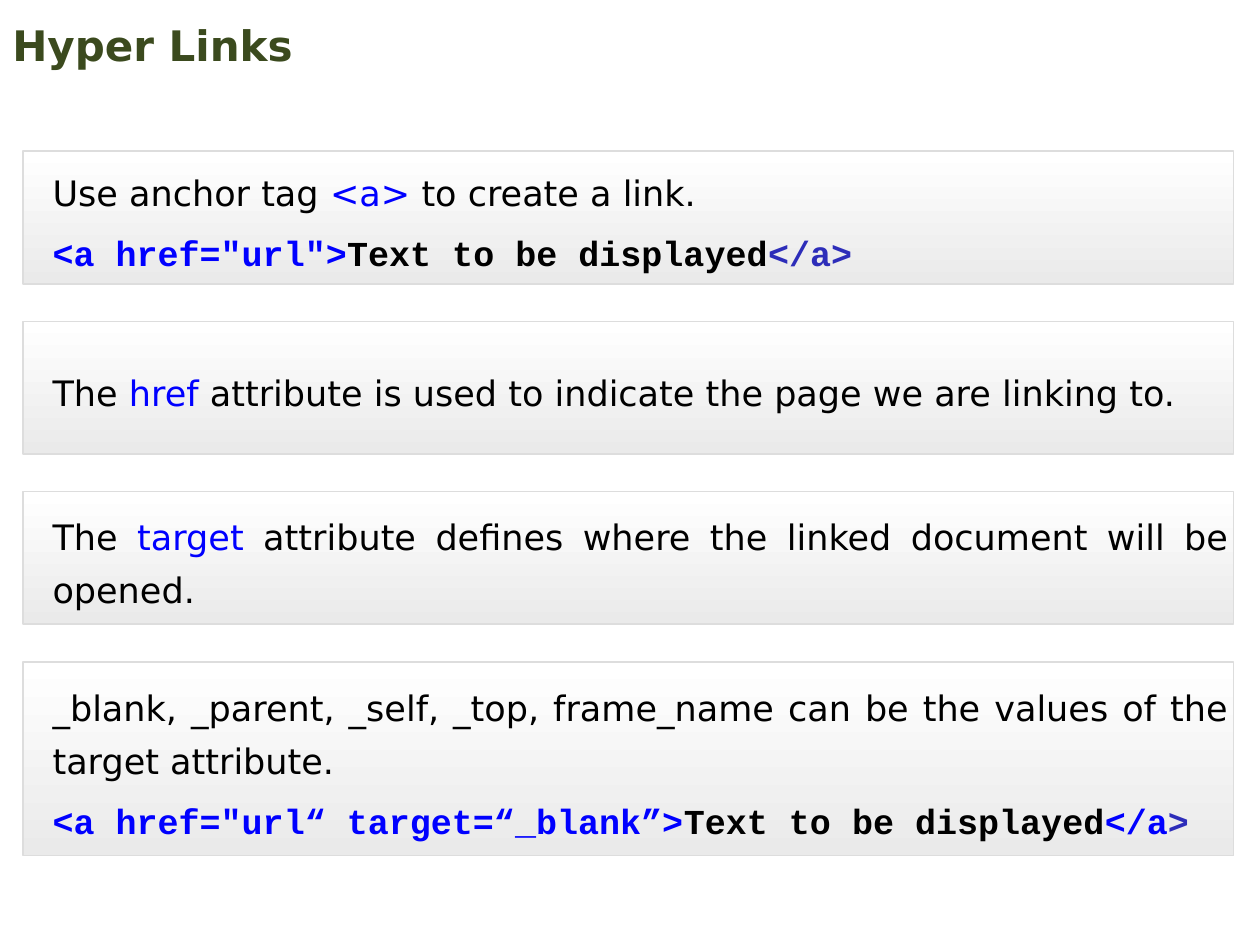
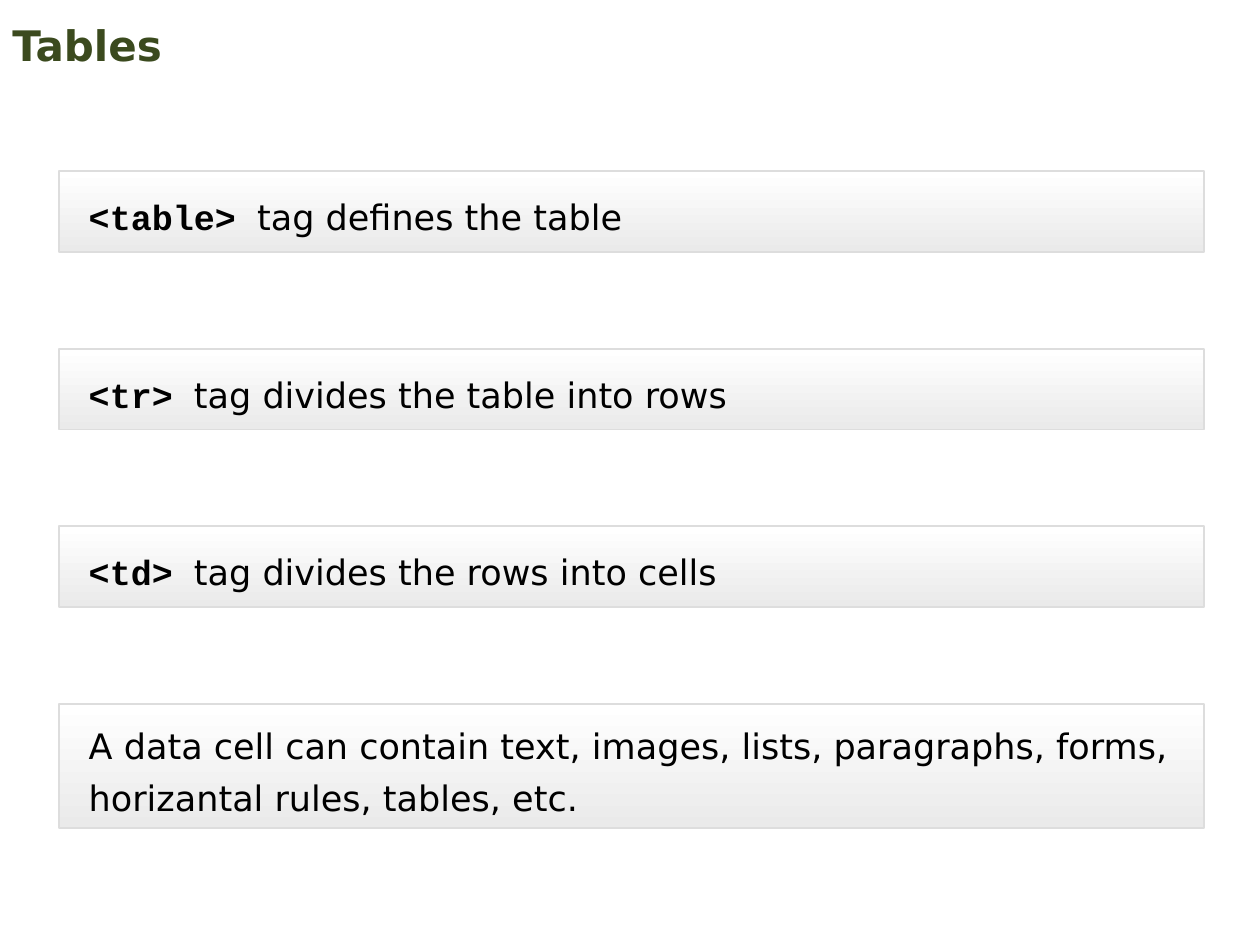
from dataclasses import dataclass

from pptx import Presentation
from pptx.dml.color import RGBColor
from pptx.enum.shapes import MSO_SHAPE as Preset
from pptx.enum.text import MSO_ANCHOR as Anchor, PP_ALIGN as Align
from pptx.util import Cm, Pt


@dataclass(frozen=True)
class Theme:
    body_font: str = "DejaVu Sans"
    code_font: str = "Courier New"
    title_size: Pt = Pt(24)
    body_size: Pt = Pt(20)
    line_spacing: Pt = Pt(30)
    space_after: Pt = Pt(4.4)
    title: RGBColor = RGBColor(0x3B, 0x4A, 0x1E)
    text: RGBColor = RGBColor(0, 0, 0)
    keyword: RGBColor = RGBColor(0, 0, 0xFF)
    closing_tag: RGBColor = RGBColor(0x2D, 0x2D, 0xB9)
    panel_top: RGBColor = RGBColor(0xFF, 0xFF, 0xFF)
    panel_bottom: RGBColor = RGBColor(0xEA, 0xEA, 0xEA)
    panel_line: RGBColor = RGBColor(0xDD, 0xDD, 0xDD)


@dataclass(frozen=True)
class Panel:
    height: float
    paragraphs: list
    right_inset: float = 0.1


THEME = Theme()


def prose(text, color=THEME.text):
    return text, THEME.body_font, color, False


def keyword(text):
    return prose(text, THEME.keyword)


def code(text, color=THEME.keyword):
    return text, THEME.code_font, color, True


def add_title(slide, text):
    box = slide.shapes.add_textbox(Cm(0), Cm(0.36), Cm(22.86), Cm(1.09))
    frame = box.text_frame
    frame.word_wrap = True
    frame.vertical_anchor = Anchor.MIDDLE
    paragraph = frame.paragraphs[0]
    paragraph.text = text
    font = paragraph.font
    font.name, font.size, font.bold = THEME.body_font, THEME.title_size, True
    font.color.rgb = THEME.title


def add_paragraph(paragraph, runs, alignment):
    paragraph.alignment = alignment
    paragraph.line_spacing = THEME.line_spacing
    paragraph.space_after = THEME.space_after
    paragraph.font.size = THEME.body_size
    for text, name, color, bold in runs:
        run = paragraph.add_run()
        run.text = text
        run.font.name, run.font.bold = name, bold
        run.font.color.rgb = color


def add_panel(slide, panel, left, top, width, alignment):
    shape = slide.shapes.add_shape(
        Preset.RECTANGLE, Cm(left), Cm(top), Cm(width), Cm(panel.height))
    shape.shadow.inherit = False
    shape.fill.gradient()
    shape.fill.gradient_angle = 270
    colors = THEME.panel_top, THEME.panel_bottom
    for stop, color in zip(shape.fill.gradient_stops, colors):
        stop.color.rgb = color
    shape.line.color.rgb = THEME.panel_line
    shape.line.width = Pt(1)

    frame = shape.text_frame
    frame.word_wrap = True
    frame.vertical_anchor = Anchor.MIDDLE
    frame.margin_left, frame.margin_right = Cm(0.6), Cm(panel.right_inset)
    frame.margin_top = frame.margin_bottom = 0
    for index, runs in enumerate(panel.paragraphs):
        paragraph = frame.add_paragraph() if index else frame.paragraphs[0]
        add_paragraph(paragraph, runs, alignment)


def add_panel_stack(slide, panels, left, top, width, gap, alignment):
    for panel in panels:
        add_panel(slide, panel, left, top, width, alignment)
        top += panel.height + gap


def add_blank_slide(presentation, title):
    slide = presentation.slides.add_slide(presentation.slide_layouts[6])
    add_title(slide, title)
    return slide


def build_links_slide(presentation):
    slide = add_blank_slide(presentation, "Hyper Links")
    panels = [
        Panel(2.67, [
            [prose("Use anchor tag "), keyword("<a> "),
             prose("to create a link.")],
            [code('<a href="url">'), code("Text to be displayed", THEME.text),
             code("</a> ", THEME.closing_tag)],
        ]),
        Panel(2.67, [
            [prose("The "), keyword("href"),
             prose(" attribute is used to indicate the page we are linking to.")],
        ]),
        Panel(2.67, [
            [prose("The "), keyword("target"),
             prose(" attribute defines where the linked document will be opened. ")],
        ]),
        Panel(3.91, [
            [prose("_blank, _parent, _self, _top, frame_name can be the values "
                   "of the target attribute.")],
            [code('<a href="url“ target=“_blank”>'),
             code("Text to be displayed", THEME.text),
             code("</a"), code(">", THEME.closing_tag)],
        ]),
    ]
    add_panel_stack(slide, panels, 0.46, 3.05, 24.41, 0.76, Align.JUSTIFY)


def build_tables_slide(presentation):
    slide = add_blank_slide(presentation, "Tables")
    tags = [
        ("<table> ", "tag defines the table"),
        ("<tr> ", "tag divides the table into rows"),
        ("<td> ", "tag divides the rows into cells"),
    ]
    panels = [Panel(1.63, [[code(tag, THEME.text), prose(meaning)]], 0.6)
              for tag, meaning in tags]
    panels.append(Panel(2.51, [
        [prose("A data cell can contain text, images, lists, paragraphs, forms, "
               "horizantal rules, tables, etc.")],
    ], 0.25))
    add_panel_stack(slide, panels, 1.19, 3.45, 23.09, 1.95, Align.LEFT)


def main():
    presentation = Presentation()
    presentation.slide_width, presentation.slide_height = Cm(25.4), Cm(19.05)
    build_links_slide(presentation)
    build_tables_slide(presentation)
    presentation.save("out.pptx")


if __name__ == "__main__":
    main()
